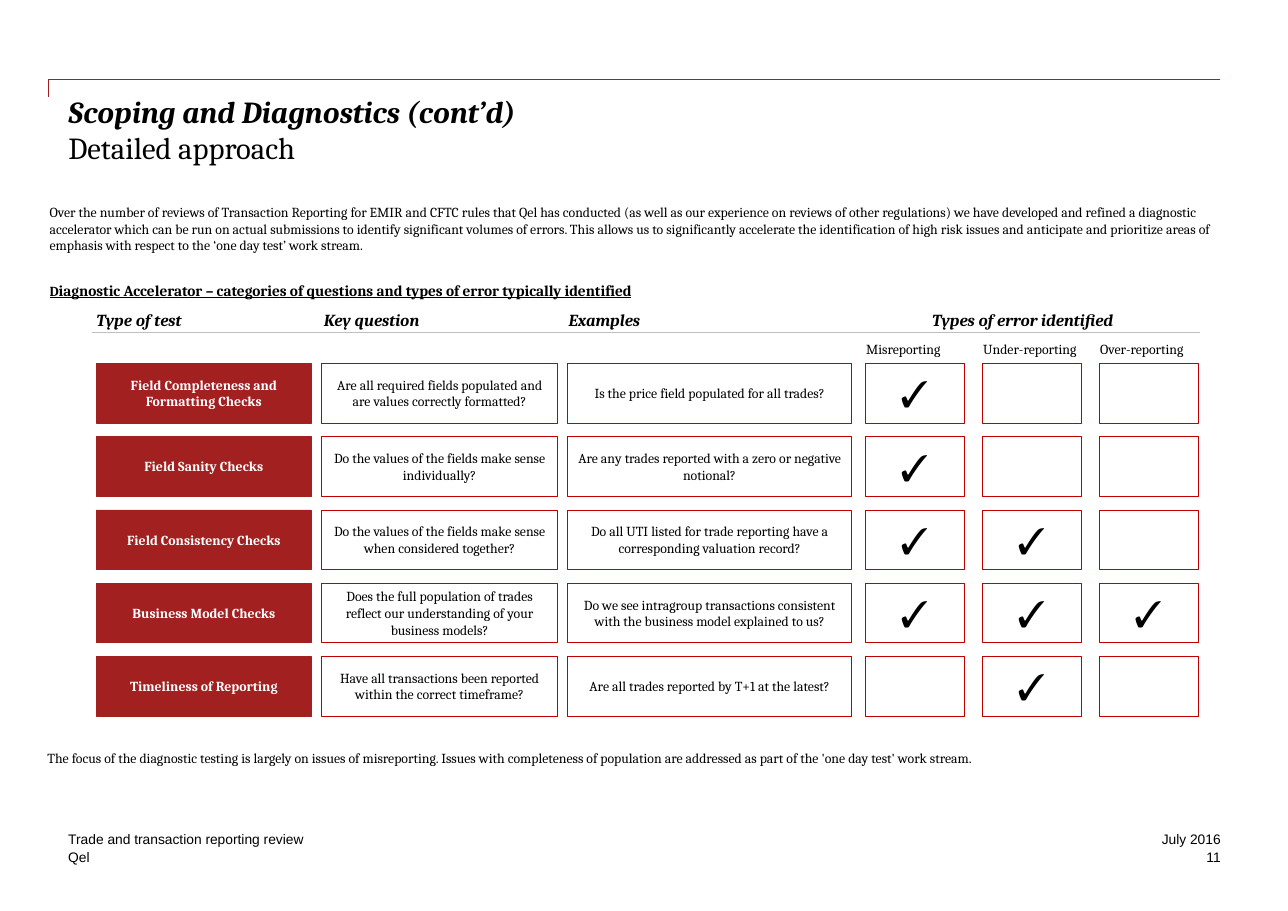
from typing import NamedTuple

from lxml.etree import SubElement
from pptx import Presentation
from pptx.dml.color import RGBColor
from pptx.enum.shapes import MSO_CONNECTOR, MSO_SHAPE
from pptx.enum.text import MSO_ANCHOR, PP_ALIGN
from pptx.oxml.ns import qn
from pptx.util import Inches, Pt

BLACK = RGBColor(0x00, 0x00, 0x00)
WHITE = RGBColor(0xFF, 0xFF, 0xFF)
BRICK = RGBColor(0xA3, 0x20, 0x20)
RED = RGBColor(0xC0, 0x00, 0x00)
GREY = RGBColor(0xBF, 0xBF, 0xBF)

# The slide is a grid of 100 columns by 100 rows
WIDTH, HEIGHT = Inches(11.69), Inches(8.27)
COLUMN, ROW = WIDTH / 100, HEIGHT / 100

BODY = {"name": "Cambria", "size": Pt(9)}
TITLE = {"name": "Cambria", "size": Pt(20)}
HEADING = {"name": "Cambria", "size": Pt(11), "bold": True, "italic": True}
TEST = BODY | {"bold": True}
TICK = {"name": "Cambria", "size": Pt(24)}
FOOTER = {"name": "Arial", "size": Pt(9)}

# Left edge and width of each text column, then the error columns
TEXT_COLUMNS = [(0, 16.68), (17.49, 18.31), (36.57, 22.07)]
HEADINGS = [(0, "Type of test"), (17.66, "Key question"),
            (36.66, "Examples"), (64.88, "Types of error identified")]
ERRORS = ["Misreporting", "Under-reporting", "Over-reporting"]
ERROR_LEFT, ERROR_PITCH, ERROR_WIDTH = 59.67, 9.08, 7.7
TEST_TOP, TEST_PITCH, TEST_HEIGHT = 5.92, 8.04, 6.53

# Test, key question, example, and a tick for each type of error
TESTS = [
    ("Field Completeness and Formatting Checks",
     "Are all required fields populated and are values correctly formatted?",
     "Is the price field populated for all trades?", "✓--"),
    ("Field Sanity Checks",
     "Do the values of the fields make sense individually?",
     "Are any trades reported with a zero or negative notional?", "✓--"),
    ("Field Consistency Checks",
     "Do the values of the fields make sense when considered together?",
     "Do all UTI listed for trade reporting have a corresponding valuation record?",
     "✓✓-"),
    ("Business Model Checks",
     "Does the full population of trades reflect our understanding of your business models?",
     "Do we see intragroup transactions consistent with the business model explained to us?",
     "✓✓✓"),
    ("Timeliness of Reporting",
     "Have all transactions been reported within the correct timeframe?",
     "Are all trades reported by T+1 at the latest?", "-✓-"),
]

INTRO = (
    "Over the number of reviews of Transaction Reporting for EMIR and CFTC rules that Qel "
    "has conducted (as well as our experience on reviews of other regulations) we have "
    "developed and refined a diagnostic accelerator which can be run on actual submissions "
    "to identify significant volumes of errors. This allows us to significantly accelerate "
    "the identification of high risk issues and anticipate and prioritize areas of emphasis "
    "with respect to the ‘one day test’ work stream.")
CLOSING = (
    "The focus of the diagnostic testing is largely on issues of misreporting. Issues with "
    "completeness of population are addressed as part of the 'one day test' work stream.")


class Box(NamedTuple):
    left: float
    top: float
    width: float
    height: float

    def inner(self, left, top, width, height):
        return Box(self.left + left, self.top + top, width, height)

    def lengths(self):
        return (round(self.left * COLUMN), round(self.top * ROW),
                round(self.width * COLUMN), round(self.height * ROW))


def add_span(para, text, style, color=BLACK):
    span = para.add_run()
    span.text = text
    for name, value in style.items():
        setattr(span.font, name, value)
    span.font.color.rgb = color


def add_text(page, box, text, style, align=PP_ALIGN.LEFT, anchor=MSO_ANCHOR.TOP):
    frame = page.shapes.add_textbox(*box.lengths()).text_frame
    settings = {"word_wrap": True, "vertical_anchor": anchor, "margin_left": 0,
                "margin_top": 0, "margin_right": 0, "margin_bottom": 0}
    for name, value in settings.items():
        setattr(frame, name, value)
    para = frame.paragraphs[0]
    para.alignment = align
    add_span(para, text, style)
    return frame


def add_cell(page, box, text, style, fill=WHITE, line=RED, color=BLACK):
    cell = page.shapes.add_shape(MSO_SHAPE.RECTANGLE, *box.lengths())
    cell.shadow.inherit = False
    cell.fill.solid()
    cell.fill.fore_color.rgb = fill
    cell.line.color.rgb = line
    cell.line.width = Pt(0.25)
    if text:
        frame = cell.text_frame
        frame.word_wrap = True
        frame.vertical_anchor = MSO_ANCHOR.MIDDLE
        frame.paragraphs[0].alignment = PP_ALIGN.CENTER
        add_span(frame.paragraphs[0], text, style, color)


def add_line(page, kind, start, end, color, width):
    points = [round(length) for x, y in (start, end) for length in (x * COLUMN, y * ROW)]
    line = page.shapes.add_connector(kind, *points)
    line.line.color.rgb = color
    line.line.width = Pt(width)
    SubElement(line.element.spPr, qn("a:effectLst"))
    return line


def add_title(page, box):
    # Corner rule, bent at its start
    rule = add_line(page, MSO_CONNECTOR.ELBOW, (box.left - 1.54, box.top + 0.48),
                    (box.left + box.width, box.top - 1.45), BRICK, 1)
    guides = rule.element.spPr.find(qn("a:prstGeom")).find(qn("a:avLst"))
    SubElement(guides, qn("a:gd"), name="adj1", fmla="val 0")
    frame = add_text(page, box, "Scoping and Diagnostics (cont’d)",
                     TITLE | {"bold": True, "italic": True})
    para = frame.paragraphs[0]
    para.add_line_break()
    add_span(para, "Detailed approach", TITLE)


def add_intro(page, box):
    frame = add_text(page, box, INTRO, BODY)
    para = frame.add_paragraph()
    para.space_before = Pt(18)
    heading = BODY | {"bold": True, "underline": True}
    add_span(para, "D", heading)
    add_span(para, "iagnostic Accelerator – categories of questions and types of error "
             "typically identified", heading | {"size": Pt(10)})


def add_tests(page, box):
    # Headings and rule
    for left, heading in HEADINGS:
        add_text(page, box.inner(left, 0, 18, 2.5), heading, HEADING)
    rule_top = box.top + 2.54
    add_line(page, MSO_CONNECTOR.STRAIGHT, (box.left - 0.3, rule_top),
             (box.left + box.width, rule_top), GREY, 0.75)
    error_lefts = [ERROR_LEFT + index * ERROR_PITCH for index in range(len(ERRORS))]
    for left, error in zip(error_lefts, ERRORS):
        add_text(page, box.inner(left + 0.1, 3.38, 8.2, 2.5), error, BODY)

    # One row for each test
    for index, (*texts, ticks) in enumerate(TESTS):
        top = TEST_TOP + index * TEST_PITCH
        for column, ((left, width), text) in enumerate(zip(TEXT_COLUMNS, texts)):
            colors = (WHITE, RED, BLACK) if column else (BRICK, BRICK, WHITE)
            add_cell(page, box.inner(left, top, width, TEST_HEIGHT), text,
                     BODY if column else TEST, *colors)
        for left, tick in zip(error_lefts, ticks):
            add_cell(page, box.inner(left, top, ERROR_WIDTH, TEST_HEIGHT),
                     tick.strip("-"), TICK)


def add_footer(page, box):
    half, line = box.width / 2, box.height / 2
    rows = [("Trade and transaction reporting review", "July 2016"), ("Qel", "11")]
    for row, texts in enumerate(rows):
        for side, text in enumerate(texts):
            add_text(page, box.inner(side * half, row * line, half, line), text, FOOTER,
                     PP_ALIGN.RIGHT if side else PP_ALIGN.LEFT, MSO_ANCHOR.MIDDLE)


def main():
    deck = Presentation()
    deck.slide_width, deck.slide_height = WIDTH, HEIGHT
    page = deck.slides.add_slide(deck.slide_layouts[6])
    add_title(page, Box(5.3, 10.16, 89.4, 10.4))
    add_intro(page, Box(3.85, 22.37, 90.93, 10.4))
    add_tests(page, Box(7.48, 33.98, 85.67, 44.61))
    add_text(page, Box(3.68, 82.35, 90.93, 4.6), CLOSING, BODY)
    add_footer(page, Box(5.3, 91.17, 89.48, 3.87))
    deck.save("out.pptx")


if __name__ == "__main__":
    main()
